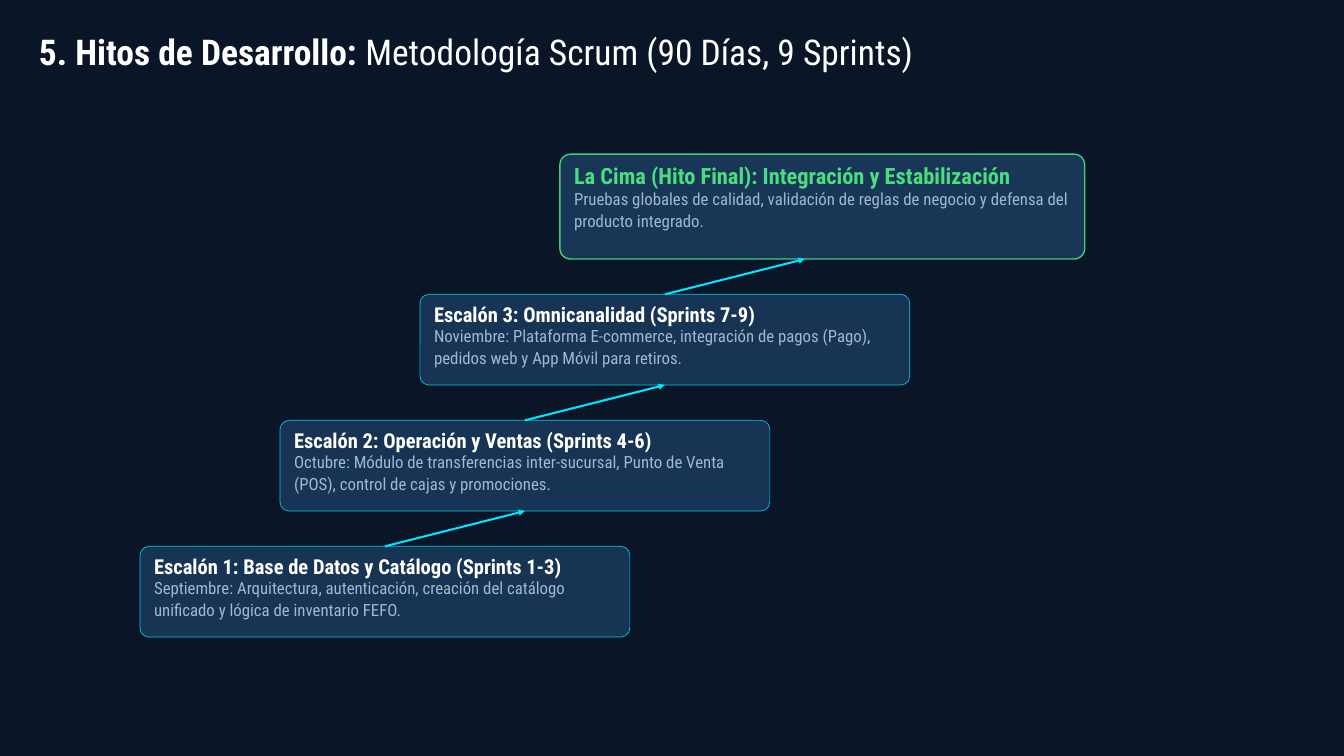
"""Build the Scrum milestones slide: a staircase of steps joined by arrows."""
from lxml import etree
from pptx import Presentation
from pptx.dml.color import RGBColor
from pptx.enum.shapes import MSO_CONNECTOR, MSO_SHAPE
from pptx.enum.text import MSO_ANCHOR, MSO_AUTO_SIZE, PP_ALIGN
from pptx.oxml.ns import qn
from pptx.util import Inches, Pt

STRAIGHT = MSO_CONNECTOR.STRAIGHT
ROUNDED = MSO_SHAPE.ROUNDED_RECTANGLE
TOP, LEFT, NO_FIT = MSO_ANCHOR.TOP, PP_ALIGN.LEFT, MSO_AUTO_SIZE.NONE

TITLE = ("5. Hitos de Desarrollo:", " Metodología Scrum (90 Días, 9 Sprints)")
STEPS = [
    ("Escalón 1: Base de Datos y Catálogo (Sprints 1-3)",
     "Septiembre: Arquitectura, autenticación, creación del catálogo "
     "unificado y lógica de inventario FEFO."),
    ("Escalón 2: Operación y Ventas (Sprints 4-6)",
     "Octubre: Módulo de transferencias inter-sucursal, Punto de Venta "
     "(POS), control de cajas y promociones."),
    ("Escalón 3: Omnicanalidad (Sprints 7-9)",
     "Noviembre: Plataforma E-commerce, integración de pagos (Pago), "
     "pedidos web y App Móvil para retiros."),
    ("La Cima (Hito Final): Integración y Estabilización",
     "Pruebas globales de calidad, validación de reglas de negocio y "
     "defensa del producto integrado."),
]

THEME = {
    "font": "Roboto Condensed", "bg": "0A1628", "card": "1A3A5C",
    "white": "FFFFFF", "body": "A0B8D0", "cyan": "00E5FF", "green": "4ADE80",
    "title_pt": 38, "body_pt": 18, "body_line": 23.4, "arrow_pt": 2.25,
}
STEP = {"w": 7.29, "h": 1.35, "head_pt": 22, "head": "white", "line": "cyan",
        "line_pt": 0.75, "alpha": 85, "body_dy": 0.44}
SUMMIT = {"w": 7.81, "h": 1.56, "head_pt": 24, "head": "green", "line": "green",
          "line_pt": 1.5, "alpha": 90, "body_dy": 0.49}

RISE_X, RISE_Y = 2.083, 1.875
FIRST_X, FIRST_BOTTOM = 2.083, 9.48
PAD_X, PAD_Y = 0.21, 0.115


def color(name):
    return RGBColor.from_string(THEME[name])


def set_alpha(fill, percent):
    clr = fill._xPr.find(qn("a:solidFill"))[0]
    etree.SubElement(clr, qn("a:alpha"), val=str(percent * 1000))


def format_frame(tf):
    tf.word_wrap = True
    tf.auto_size = NO_FIT
    tf.vertical_anchor = TOP
    tf.margin_left = tf.margin_right = tf.margin_top = tf.margin_bottom = 0


def format_paragraph(p, size, name, line, bold=None):
    p.alignment = LEFT
    p.line_spacing = Pt(line)
    p.font.name = THEME["font"]
    p.font.size = Pt(size)
    p.font.bold = bold
    p.font.color.rgb = color(name)


def add_title(s):
    sp = s.shapes.title
    sp.left, sp.top, sp.width, sp.height = map(Inches, (0.58, 0.44, 14.58, 0.62))
    format_frame(sp.text_frame)
    p = sp.text_frame.paragraphs[0]
    for text, bold in zip(TITLE, (True, False)):
        r = p.add_run()
        r.text = text
        r.font.bold = bold
    format_paragraph(p, THEME["title_pt"], "white", THEME["title_pt"] * 1.2)


def add_text(s, text, x, y, w, h, size, name, line, bold):
    tf = s.shapes.add_textbox(*map(Inches, (x, y, w, h))).text_frame
    format_frame(tf)
    tf.text = text
    format_paragraph(tf.paragraphs[0], size, name, line, bold)


def add_card(s, head, body, x, y, style):
    w, h = style["w"], style["h"]
    sp = s.shapes.add_shape(ROUNDED, *map(Inches, (x, y, w, h)))
    sp.shadow.inherit = False
    sp.adjustments[0] = 0.1
    sp.fill.solid()
    sp.fill.fore_color.rgb = color("card")
    sp.line.color.rgb = color(style["line"])
    sp.line.width = Pt(style["line_pt"])
    set_alpha(sp.fill, style["alpha"])
    set_alpha(sp.line.fill, style["alpha"])
    text_w, size = w - 2 * PAD_X, style["head_pt"]
    add_text(s, head, x + PAD_X, y + PAD_Y, text_w, 0.38,
             size, style["head"], size * 1.2, True)
    add_text(s, body, x + PAD_X, y + style["body_dy"], text_w, 0.65,
             THEME["body_pt"], "body", THEME["body_line"], False)


def add_arrow(s, x1, y1, x2, y2):
    c = s.shapes.add_connector(STRAIGHT, *map(Inches, (x1, y1, x2, y2)))
    c.line.color.rgb = color("cyan")
    c.line.width = Pt(THEME["arrow_pt"])
    etree.SubElement(c.line._get_or_add_ln(), qn("a:tailEnd"), type="triangle")
    etree.SubElement(c._element.spPr, qn("a:effectLst"))


def main():
    prs = Presentation()
    prs.slide_width, prs.slide_height = Inches(20), Inches(11.25)
    s = prs.slides.add_slide(prs.slide_layouts[5])
    s.background.fill.solid()
    s.background.fill.fore_color.rgb = color("bg")
    add_title(s)

    styles = [STEP] * (len(STEPS) - 1) + [SUMMIT]
    corners = [(FIRST_X + i * RISE_X, FIRST_BOTTOM - i * RISE_Y)
               for i in range(len(STEPS))]
    for (head, body), (x, bottom), style in zip(STEPS, corners, styles):
        add_card(s, head, body, x, bottom - style["h"], style)
    half = STEP["w"] / 2
    for (x1, bottom1), (x2, bottom2) in zip(corners, corners[1:]):
        add_arrow(s, x1 + half, bottom1 - STEP["h"], x2 + half, bottom2)

    prs.save("out.pptx")


if __name__ == "__main__":
    main()
